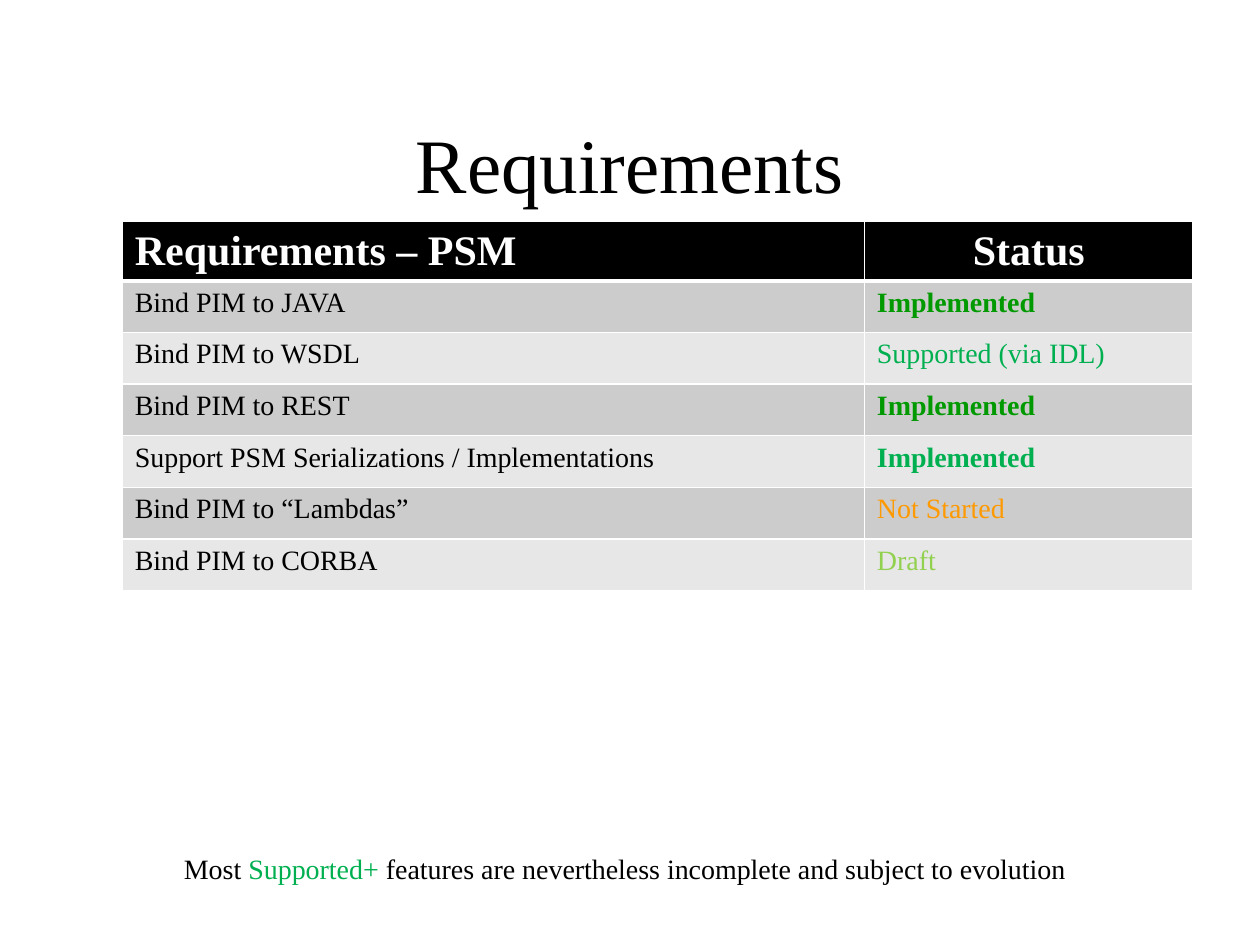
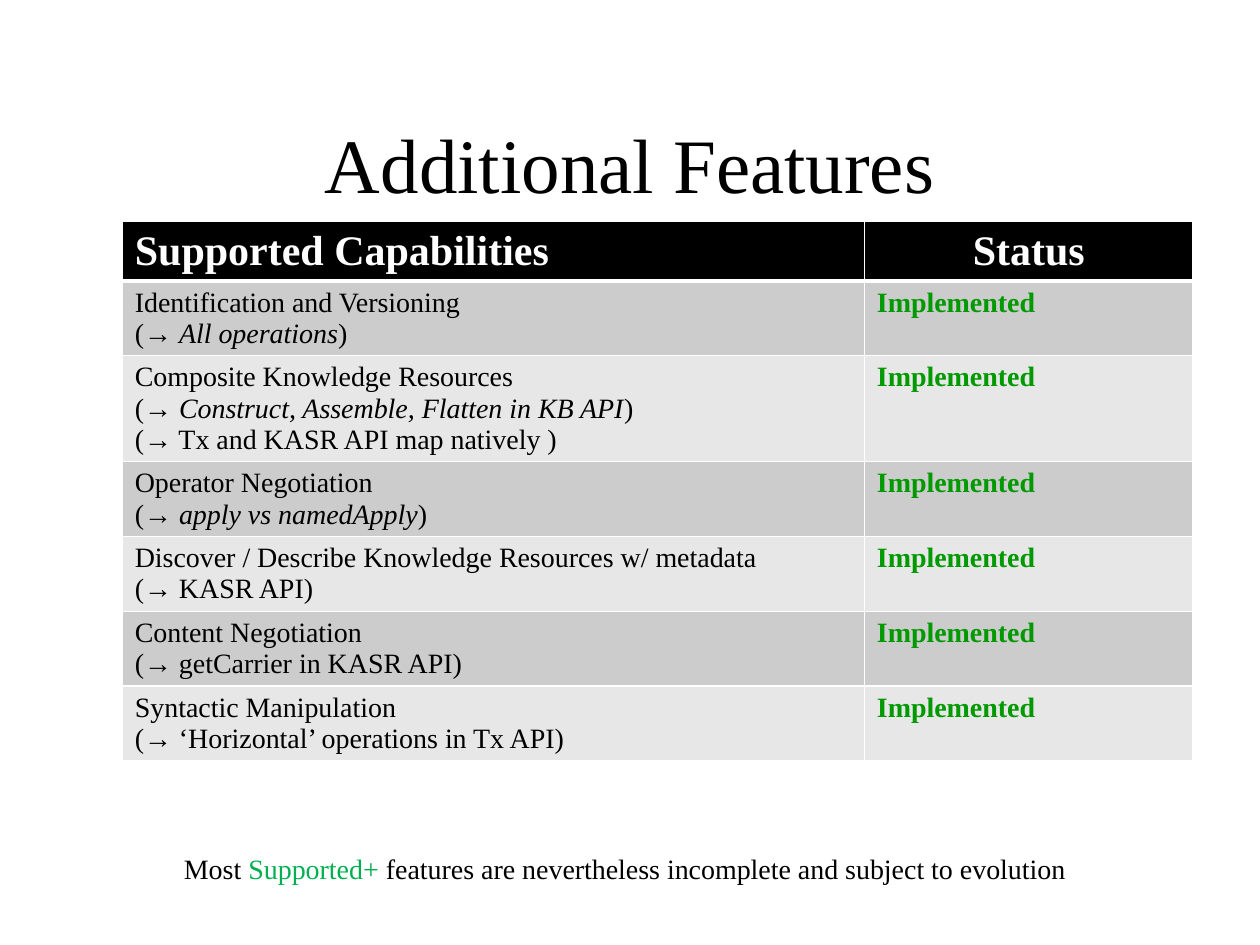
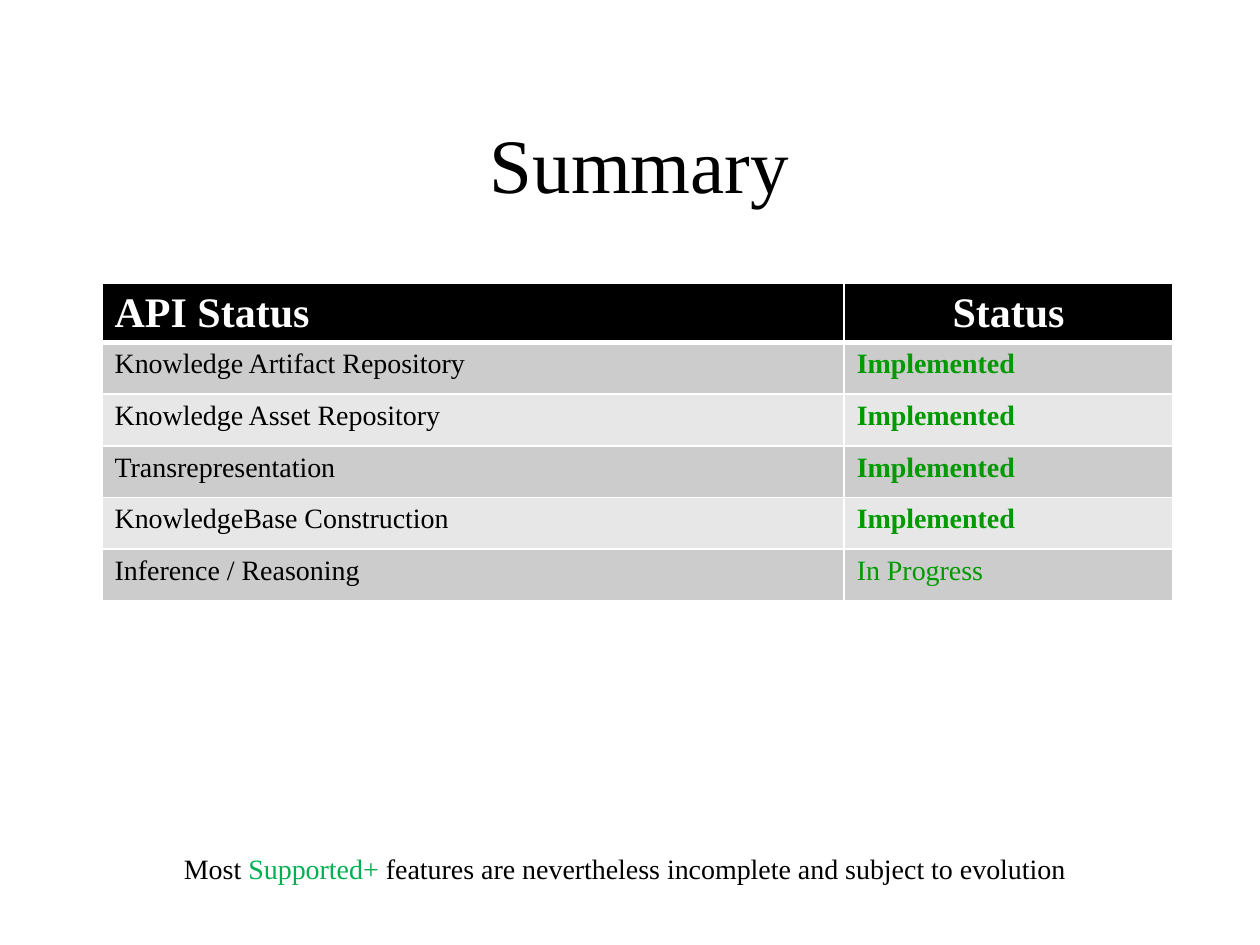
"""Builds three status-table slides for a knowledge API specification."""
import pptx
import pptx.dml.color
import pptx.enum.text
import pptx.oxml
import pptx.oxml.ns
import pptx.util
from pptx.util import Inches

FONT = "Times New Roman"
BLACK, WHITE = "000000", "FFFFFF"
BANDS = ("CCCCCC", "E7E7E7")
GREEN, BRIGHT_GREEN, ORANGE, LIME = "009900", "00B050", "FF9900", "92D050"
COLUMN_WIDTHS = (5.89, 2.61)
ROW_HEIGHT = 0.41
IMPLEMENTED = ("Implemented", GREEN, True)
ALIGN = pptx.enum.text.PP_ALIGN

REQUIREMENTS = [
    ("Bind PIM to JAVA", IMPLEMENTED),
    ("Bind PIM to WSDL", ("Supported (via IDL)", BRIGHT_GREEN, False)),
    ("Bind PIM to REST", IMPLEMENTED),
    ("Support PSM Serializations / Implementations", ("Implemented", BRIGHT_GREEN, True)),
    ("Bind PIM to “Lambdas”", ("Not Started", ORANGE, False)),
    ("Bind PIM to CORBA", ("Draft", LIME, False)),
]
FEATURES = [
    ("Identification and Versioning\n(→ *All operations*)", IMPLEMENTED),
    ("Composite Knowledge Resources\n(→ *Construct, Assemble, Flatten in KB API*)\n"
     "(→ Tx and KASR API map natively )", IMPLEMENTED),
    ("Operator Negotiation\n(→ *apply vs namedApply*)", IMPLEMENTED),
    ("Discover / Describe Knowledge Resources w/ metadata\n(→ KASR API)", IMPLEMENTED),
    ("Content Negotiation\n(→ getCarrier in KASR API)", IMPLEMENTED),
    ("Syntactic Manipulation\n(→ ‘Horizontal’ operations in Tx API)", IMPLEMENTED),
]
API_STATUS = [
    ("Knowledge Artifact Repository", IMPLEMENTED),
    ("Knowledge Asset Repository", IMPLEMENTED),
    ("Transrepresentation", IMPLEMENTED),
    ("KnowledgeBase Construction", IMPLEMENTED),
    ("Inference / Reasoning", ("In Progress", GREEN, False)),
]


def rgb(color):
    return pptx.dml.color.RGBColor.from_string(color)


def format_paragraph(paragraph, size, color=BLACK, bold=False, align=ALIGN.LEFT):
    paragraph.alignment = align
    paragraph.font.name = FONT
    paragraph.font.size = pptx.util.Pt(size)
    paragraph.font.bold = bold
    paragraph.font.color.rgb = rgb(color)


def add_title(slide, text):
    title = slide.shapes.title
    title.left, title.top, title.width, title.height = map(Inches, (0.75, 0.67, 8.5, 1.25))
    title.text_frame.text = text
    title.text_frame.vertical_anchor = pptx.enum.text.MSO_ANCHOR.MIDDLE
    format_paragraph(title.text_frame.paragraphs[0], 44, align=ALIGN.CENTER)


def set_borders(cell, top, bottom):
    properties = cell._tc.get_or_add_tcPr()
    for side, points in (("L", 1), ("R", 1), ("T", top), ("B", bottom)):
        properties.append(pptx.oxml.parse_xml(
            f'<a:ln{side} {pptx.oxml.ns.nsdecls("a")} w="{pptx.util.Pt(points)}">'
            f'<a:solidFill><a:srgbClr val="{WHITE}"/></a:solidFill></a:ln{side}>'))


def fill_cell(cell, text, fill, top=1, bottom=1, **style):
    """Write one paragraph per line, with text between asterisks in italics."""
    set_borders(cell, top, bottom)
    cell.fill.solid()
    cell.fill.fore_color.rgb = rgb(fill)
    for index, line in enumerate(text.split("\n")):
        frame = cell.text_frame
        paragraph = frame.add_paragraph() if index else frame.paragraphs[0]
        format_paragraph(paragraph, **style)
        for part, words in enumerate(line.split("*")):
            run = paragraph.add_run()
            run.text = words
            if part % 2:
                run.font.italic = True


def add_status_table(slide, left, top, heading, entries):
    row_count = len(entries) + 1
    table = slide.shapes.add_table(
        row_count, 2, Inches(left), Inches(top),
        Inches(sum(COLUMN_WIDTHS)), Inches(ROW_HEIGHT * row_count)).table
    for column, width in zip(table.columns, COLUMN_WIDTHS):
        column.width = Inches(width)
    for row in table.rows:
        row.height = Inches(ROW_HEIGHT)
    for column, (text, align) in enumerate(((heading, ALIGN.LEFT), ("Status", ALIGN.CENTER))):
        fill_cell(table.cell(0, column), text, BLACK, bottom=3,
                  size=24, color=WHITE, bold=True, align=align)
    for row, (item, (status, color, bold)) in enumerate(entries, start=1):
        band = BANDS[(row - 1) % 2]
        border = 3 if row == 1 else 1
        fill_cell(table.cell(row, 0), item, band, top=border, size=16)
        fill_cell(table.cell(row, 1), status, band, top=border, size=16, color=color, bold=bold)


def add_evolution_note(slide):
    note = slide.shapes.add_textbox(Inches(0.97), Inches(6.71), Inches(7.98), Inches(0.37))
    note.text_frame.word_wrap = True
    paragraph = note.text_frame.paragraphs[0]
    format_paragraph(paragraph, 16, align=ALIGN.CENTER)
    for text, color in (("Most ", BLACK), ("Supported+", BRIGHT_GREEN),
                        (" features are nevertheless incomplete and subject to evolution", BLACK)):
        run = paragraph.add_run()
        run.text = text
        run.font.color.rgb = rgb(color)


def add_status_slide(presentation, title, left, top, heading, entries):
    slide = presentation.slides.add_slide(presentation.slide_layouts.get_by_name("Title Only"))
    add_title(slide, title)
    add_status_table(slide, left, top, heading, entries)
    add_evolution_note(slide)


def main():
    presentation = pptx.Presentation()
    presentation.slide_width, presentation.slide_height = Inches(10), Inches(7.5)
    add_status_slide(presentation, "Requirements", 0.97, 1.76, "Requirements – PSM", REQUIREMENTS)
    add_status_slide(presentation, "Additional Features", 0.97, 1.76,
                     "Supported Capabilities", FEATURES)
    add_status_slide(presentation, " Summary", 0.81, 2.25, "API Status", API_STATUS)
    presentation.save("out.pptx")


if __name__ == "__main__":
    main()
